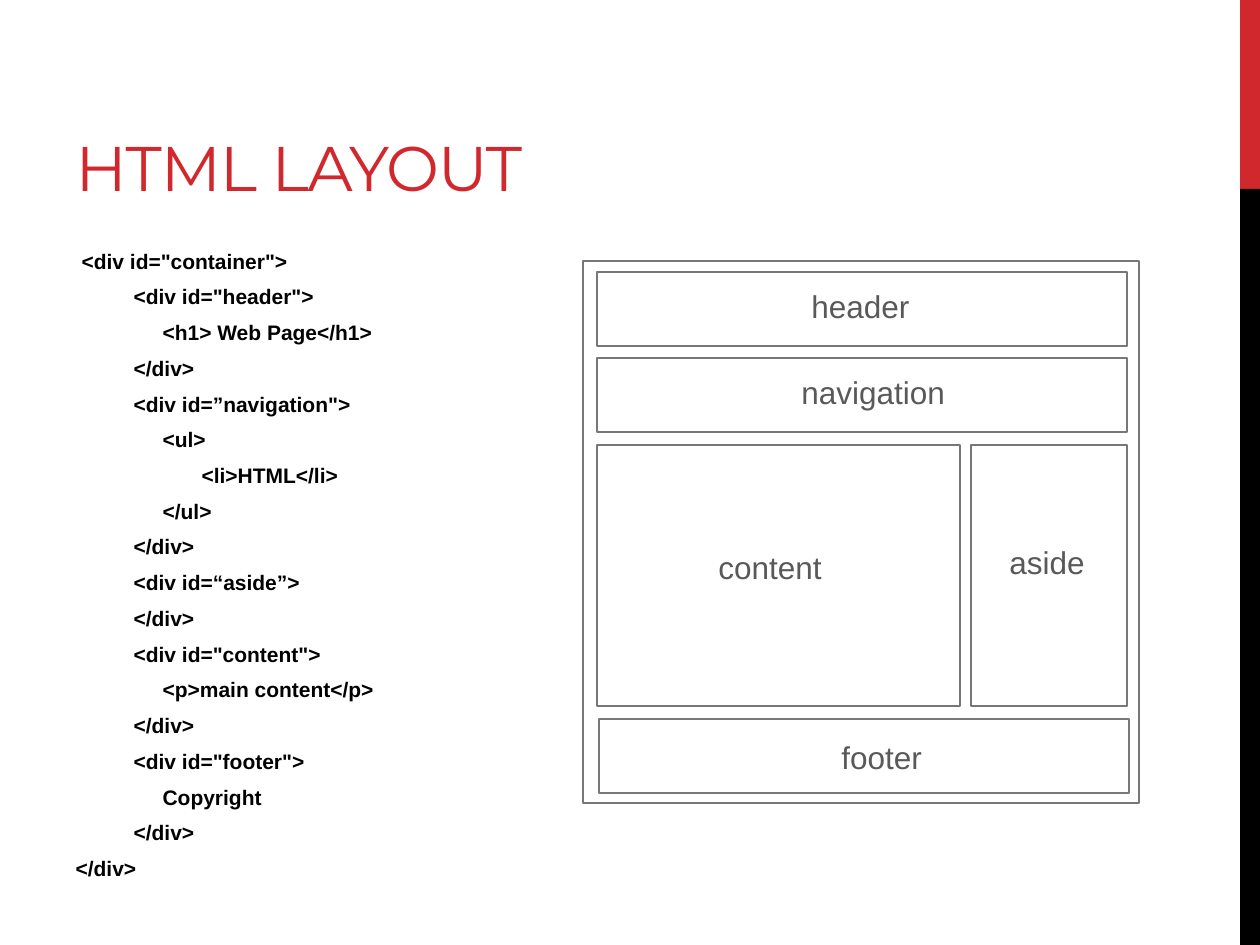
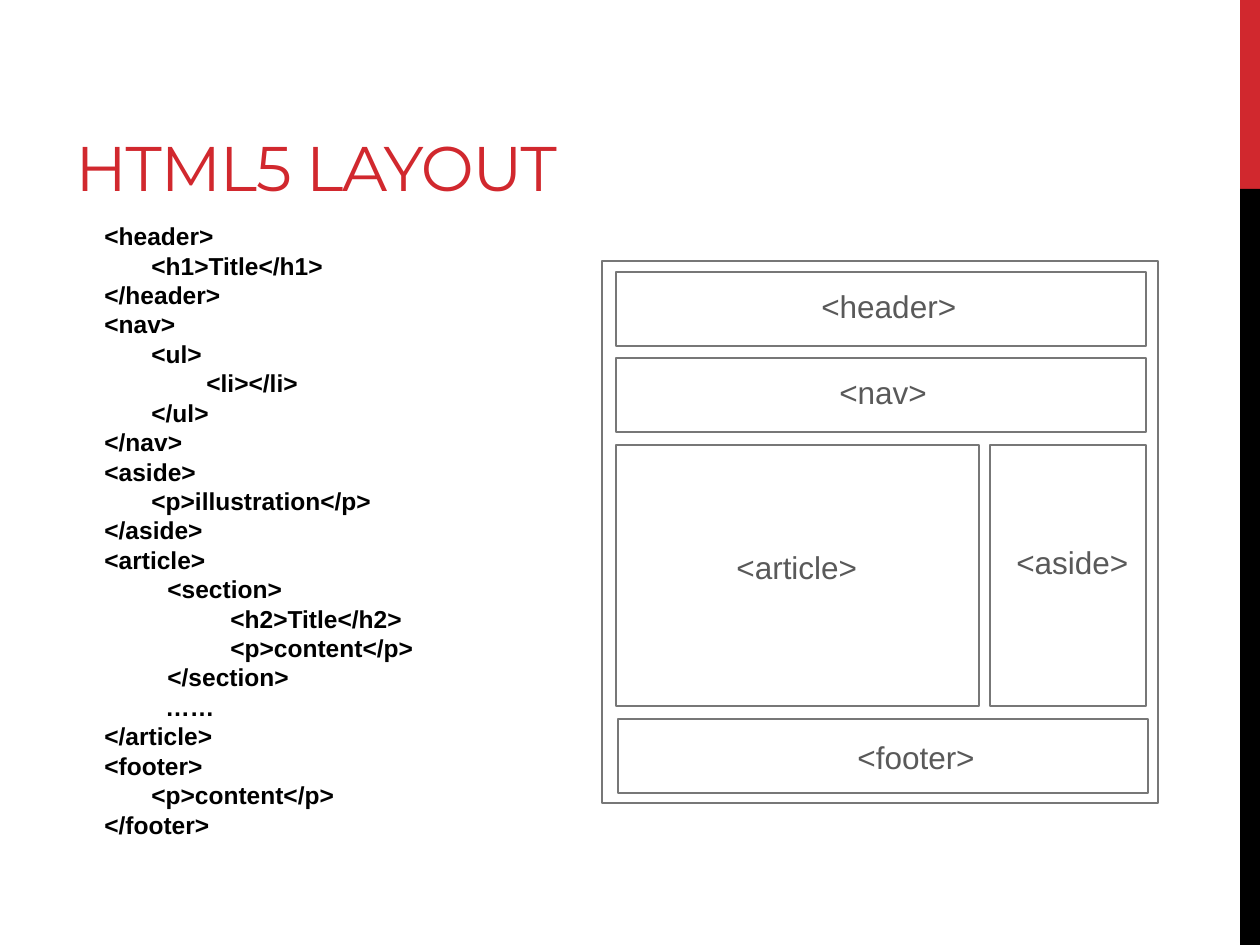
from lxml import etree
from pptx import Presentation
from pptx import util as u
from pptx.dml.color import RGBColor
from pptx.enum import shapes, text
from pptx.oxml import ns

PX = 914400 / 126
RED, BLACK, LINE, LABEL = "D1282E", "000000", "777777", "595959"
FONT, TITLE_FONT = "Arial", "Montserrat"
FRAME_TOP, FRAME_SIZE = 261, (556, 542)

REGIONS = {
    "header": (14, 11, 530, 74),
    "navigation": (14, 97, 530, 74),
    "content": (14, 184, 363, 261),
    "footer": (16, 458, 530, 74),
    "aside": (388, 184, 156, 261),
}
LABEL_TOPS = {"header": 20, "navigation": 106, "content": 281,
              "footer": 471, "aside": 276}

DIV_LABELS = {
    "header": ("header", 216, 125),
    "navigation": ("navigation", 206, 170),
    "content": ("content", 123, 130),
    "footer": ("footer", 246, 107),
    "aside": ("aside", 414, 102),
}
HTML5_LABELS = {
    "header": ("<header>", 207, 161),
    "navigation": ("<nav>", 225, 113),
    "content": ("<article>", 122, 147),
    "footer": ("<footer>", 243, 144),
    "aside": ("<aside>", 402, 139),
}

DIV_CODE = [
    (6, '<div id="container">'),
    (58, '<div id="header">'),
    (87, "<h1> Web Page</h1>"),
    (58, "</div>"),
    (58, '<div id=”navigation">'),
    (87, "<ul>"),
    (126, "<li>HTML</li>"),
    (87, "</ul>"),
    (58, "</div>"),
    (58, "<div id=“aside”>"),
    (58, "</div>"),
    (58, '<div id="content">'),
    (87, "<p>main content</p>"),
    (58, "</div>"),
    (58, '<div id="footer">'),
    (87, "Copyright"),
    (58, "</div>"),
    (0, "</div>"),
]
HTML5_CODE = [
    (0, "<header>"),
    (47, "<h1>Title</h1>"),
    (0, "</header>"),
    (0, "<nav>"),
    (47, "<ul>"),
    (102, "<li></li>"),
    (47, "</ul>"),
    (0, "</nav>"),
    (0, "<aside>"),
    (47, "<p>illustration</p>"),
    (0, "</aside>"),
    (0, "<article>"),
    (63, "<section>"),
    (126, "<h2>Title</h2>"),
    (126, "<p>content</p>"),
    (63, "</section>"),
    (61, "……"),
    (0, "</article>"),
    (0, "<footer>"),
    (47, "<p>content</p>"),
    (0, "</footer>"),
]


def px(n):
    return u.Emu(round(n * PX))


def rgb(color):
    return RGBColor.from_string(color)


def place(sp, left, top, width, height):
    sp.left, sp.top, sp.width, sp.height = map(px, (left, top, width, height))


def add_run(p, words, size, color, font=FONT, bold=False):
    r = p.add_run()
    r.text = words
    r.font.size = u.Pt(size)
    r.font.name = font
    r.font.bold = bold
    r.font.color.rgb = rgb(color)
    return r


def add_rect(parent, box, fill=None, line=None):
    sp = parent.add_shape(shapes.MSO_SHAPE.RECTANGLE, *map(px, box))
    sp.shadow.inherit = False
    if fill:
        sp.fill.solid()
        sp.fill.fore_color.rgb = rgb(fill)
    else:
        sp.fill.background()
    if line:
        sp.line.color.rgb = rgb(line)
        sp.line.width = u.Pt(1)
    else:
        sp.line.fill.background()
    return sp


def add_side_bands(prs, slide):
    master_tree = prs.slide_master.shapes._spTree
    for box, fill in (((1240, 0, 20, 189), RED), ((1240, 189, 20, 756), BLACK)):
        master_tree.append(add_rect(slide.shapes, box, fill)._element)


def set_title(slide, words):
    sp = slide.shapes.title
    place(sp, 63, 21, 798, 189)
    tf = sp.text_frame
    tf.auto_size = text.MSO_AUTO_SIZE.NONE
    tf.vertical_anchor = text.MSO_ANCHOR.BOTTOM
    p = tf.paragraphs[0]
    p.alignment = text.PP_ALIGN.LEFT
    r = add_run(p, words, 36, RED, TITLE_FONT)
    r.font._element.set("spc", "-60")


def fill_code(tf, lines, size, space_after=0):
    tf.word_wrap = True
    tf.auto_size = text.MSO_AUTO_SIZE.NONE
    tf.vertical_anchor = text.MSO_ANCHOR.TOP
    for i, (indent, words) in enumerate(lines):
        p = tf.add_paragraph() if i else tf.paragraphs[0]
        p.alignment = text.PP_ALIGN.LEFT
        p.line_spacing = u.Pt(size * 1.2)
        p.space_before = u.Pt(0)
        p.space_after = u.Pt(space_after)
        pPr = p._p.get_or_add_pPr()
        pPr.set("marL", str(px(indent)))
        pPr.set("indent", "0")
        etree.SubElement(pPr, ns.qn("a:buNone"))
        add_run(p, words, size, BLACK, bold=True)


def add_label(parent, words, left, top, width):
    sp = parent.add_textbox(*map(px, (left, top, width, 50)))
    tf = sp.text_frame
    tf.word_wrap = False
    p = tf.paragraphs[0]
    p.line_spacing = u.Pt(18 * 1.2)
    add_run(p, words, 18, LABEL)


def add_page_diagram(slide, left, labels):
    group = slide.shapes.add_group_shape().shapes
    add_rect(group, (left, FRAME_TOP, *FRAME_SIZE), line=LINE)
    for name, (x, y, width, height) in REGIONS.items():
        add_rect(group, (left + x, FRAME_TOP + y, width, height), line=LINE)
        words, label_x, label_width = labels[name]
        add_label(group, words, left + label_x,
                  FRAME_TOP + LABEL_TOPS[name], label_width)


def main():
    prs = Presentation()
    prs.slide_width, prs.slide_height = px(1260), px(945)

    slide = prs.slides.add_slide(prs.slide_layouts[1])
    add_side_bands(prs, slide)
    set_title(slide, "HTML LAYOUT")
    body = slide.placeholders[1]
    place(body, 63, 242, 1092, 663)
    fill_code(body.text_frame, DIV_CODE, 12, space_after=6)
    add_page_diagram(slide, 583, DIV_LABELS)

    slide = prs.slides.add_slide(prs.slide_layouts[5])
    set_title(slide, "HTML5 LAYOUT")
    add_page_diagram(slide, 602, HTML5_LABELS)
    code = slide.shapes.add_textbox(*map(px, (92, 215, 630, 636)))
    fill_code(code.text_frame, HTML5_CODE, 14)

    prs.save("out.pptx")


if __name__ == "__main__":
    main()
